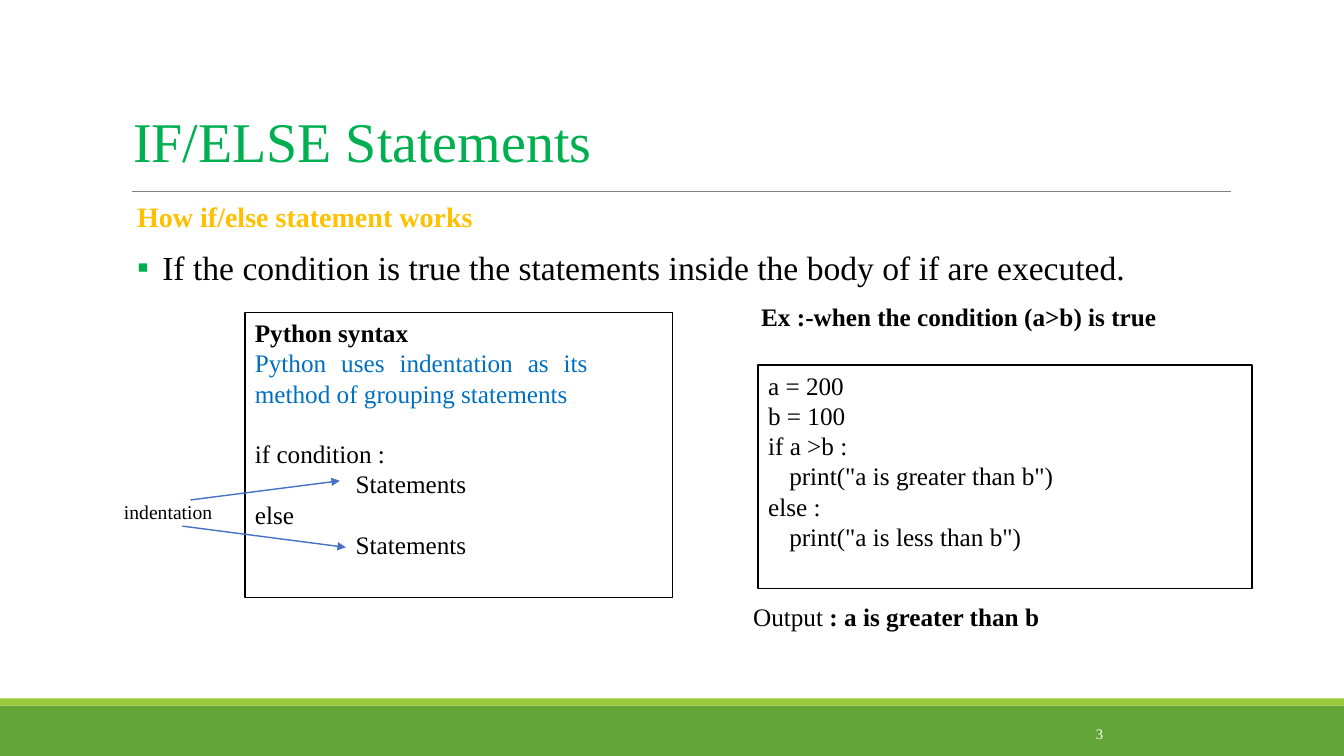
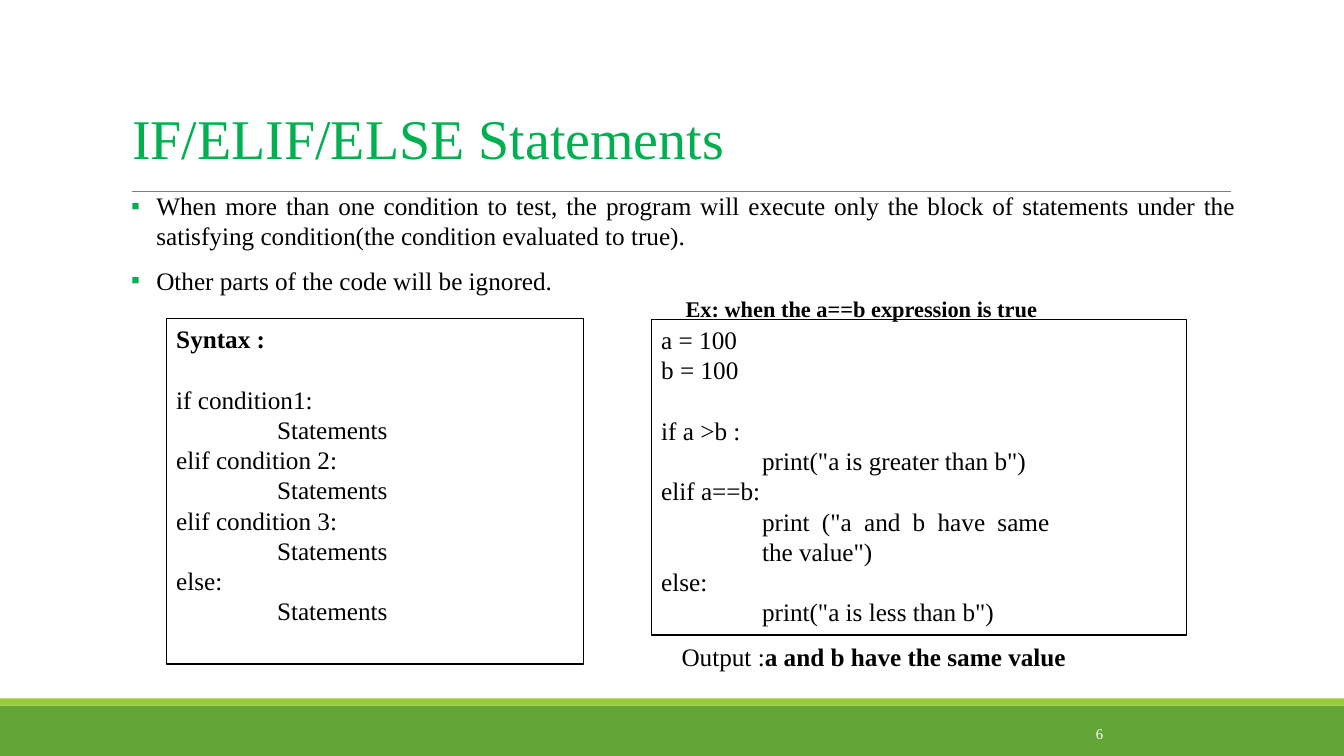
from dataclasses import dataclass

from lxml.etree import SubElement
from pptx import Presentation
from pptx.dml.color import RGBColor
from pptx.enum.shapes import MSO_CONNECTOR as Connector, MSO_SHAPE as Preset
from pptx.enum.text import MSO_ANCHOR as Anchor, MSO_AUTO_SIZE as AutoSize, PP_ALIGN as Align
from pptx.oxml.ns import qn
from pptx.util import Inches, Pt

FONT = "Times New Roman"
GREEN = RGBColor(0x00, 0xB0, 0x50)
BAND_GREEN = RGBColor(0x63, 0xA5, 0x37)
STRIP_GREEN = RGBColor(0x99, 0xCB, 0x38)
GRAY = RGBColor(0x80, 0x80, 0x80)
AMBER = RGBColor(0xFF, 0xC0, 0x00)
BLUE = RGBColor(0x00, 0x6F, 0xC0)
ARROW_BLUE = RGBColor(0x44, 0x71, 0xC4)
BLACK = RGBColor(0x00, 0x00, 0x00)
WHITE = RGBColor(0xFF, 0xFF, 0xFF)

SLIDE_WIDTH, SLIDE_HEIGHT = 13.33, 7.5
LEADING = 1.2
BLANK_LINE = 18 * LEADING  # gap between groups of code lines, in points


@dataclass(frozen=True)
class Area:
    left: float
    top: float
    width: float
    height: float

    def lengths(self) -> tuple:
        return tuple(Inches(n) for n in (self.left, self.top, self.width, self.height))


@dataclass(frozen=True)
class Line:
    """One paragraph: plain text, then an optional bold ending."""
    text: str
    bold_text: str = ""
    size: float = 18
    color: RGBColor = BLACK
    indent: float = 0
    before: float = 0
    bullet: bool = False
    justified: bool = False


@dataclass(frozen=True)
class CodeBox:
    area: Area
    lines: tuple
    right_inset: float = 0.1


@dataclass(frozen=True)
class Note:
    left: float
    top: float
    line: Line
    width: float = 4.5


@dataclass(frozen=True)
class Arrow:
    start: tuple
    end: tuple


@dataclass(frozen=True)
class Page:
    number: int
    title: str
    title_area: Area
    body_area: Area
    body_inset: float
    body: tuple
    boxes: tuple
    notes: tuple
    arrows: tuple = ()


def write_text(frame, lines, *, left=0.0, top=0.0, right=0.0, anchor=Anchor.TOP) -> None:
    """Fill a text frame with formatted lines."""
    frame.word_wrap = True
    frame.auto_size = AutoSize.NONE
    frame.vertical_anchor = anchor
    frame.margin_left, frame.margin_top = Inches(left), Inches(top)
    frame.margin_right, frame.margin_bottom = Inches(right), 0
    for index, line in enumerate(lines):
        para = frame.paragraphs[0] if index == 0 else frame.add_paragraph()
        set_bullet(para, line)
        para.alignment = Align.JUSTIFY if line.justified else Align.LEFT
        para.line_spacing = Pt(line.size * LEADING)
        para.space_before, para.space_after = Pt(line.before), Pt(0)
        for text, bold in ((line.text, False), (line.bold_text, True)):
            if text:
                span = para.add_run()
                span.text = text
                span.font.name, span.font.size = FONT, Pt(line.size)
                span.font.bold, span.font.color.rgb = bold, line.color


def set_bullet(para, line: Line) -> None:
    """Set the indent, and a green square or no bullet."""
    properties = para._p.get_or_add_pPr()
    hanging = 0.25 if line.bullet else 0
    properties.set("marL", str(Inches(line.indent + hanging)))
    properties.set("indent", str(-Inches(hanging)))
    if line.bullet:
        color = SubElement(properties, qn("a:buClr"))
        SubElement(color, qn("a:srgbClr"), val=str(GREEN))
        SubElement(properties, qn("a:buFont"), typeface=FONT)
        SubElement(properties, qn("a:buChar"), char="▪")
    else:
        SubElement(properties, qn("a:buNone"))


def place(shape, area: Area) -> None:
    shape.left, shape.top, shape.width, shape.height = area.lengths()


def add_rectangle(slide, area: Area, fill=None, outline=None):
    box = slide.shapes.add_shape(Preset.RECTANGLE, *area.lengths())
    box.shadow.inherit = False
    if fill is None:
        box.fill.background()
    else:
        box.fill.solid()
        box.fill.fore_color.rgb = fill
    if outline is None:
        box.line.fill.background()
    else:
        box.line.color.rgb, box.line.width = outline, Pt(1)
    return box


def add_line(slide, start: tuple, end: tuple, *, color: RGBColor, width: float, arrow=False) -> None:
    line = slide.shapes.add_connector(Connector.STRAIGHT, *(Inches(n) for n in start + end))
    line.line.color.rgb, line.line.width = color, Pt(width)
    if arrow:
        SubElement(line.line._get_or_add_ln(), qn("a:tailEnd"), type="triangle")
    SubElement(line.element.spPr, qn("a:effectLst"))


def add_note(slide, note: Note) -> None:
    area = Area(note.left, note.top, note.width, round(note.line.size * LEADING / 72, 2))
    box = slide.shapes.add_textbox(*area.lengths())
    write_text(box.text_frame, [note.line])


def add_frame(slide, number: int) -> None:
    """Bands, title rule and slide number shared by all slides."""
    add_rectangle(slide, Area(0, 7, SLIDE_WIDTH, 0.5), fill=BAND_GREEN)
    add_rectangle(slide, Area(0, 6.93, SLIDE_WIDTH, 0.07), fill=STRIP_GREEN)
    add_line(slide, (1.31, 1.9), (12.21, 1.9), color=GRAY, width=0.5)
    add_note(slide, Note(10.87, 7.19, Line(str(number), size=10.5, color=WHITE), width=1.4))


def add_page(deck, page: Page) -> None:
    slide = deck.slides.add_slide(deck.slide_layouts[1])
    add_frame(slide, page.number)

    # Title and body
    title, body = slide.shapes.title, slide.placeholders[1]
    place(title, page.title_area)
    write_text(title.text_frame, [Line(page.title, size=40, color=GREEN)], anchor=Anchor.BOTTOM)
    place(body, page.body_area)
    write_text(body.text_frame, page.body, top=page.body_inset)

    # Code boxes, notes and arrows
    for code in page.boxes:
        box = add_rectangle(slide, code.area, outline=BLACK)
        write_text(box.text_frame, code.lines, left=0.1, top=0.05, right=code.right_inset)
    for note in page.notes:
        add_note(slide, note)
    for arrow in page.arrows:
        add_line(slide, arrow.start, arrow.end, color=ARROW_BLUE, width=1, arrow=True)


STATEMENTS = Line("Statements", indent=1)

PAGES = (
    Page(
        number=3,
        title="IF/ELSE Statements",
        title_area=Area(1.32, 1.03, 10.8, 0.69),
        body_area=Area(1.36, 1.85, 10.8, 1.01),
        body_inset=0.13,
        body=(
            Line("", "How if/else statement works", size=20, color=AMBER),
            Line("If the condition is true the statements inside the body of if are executed.",
                 size=24, before=9.9, bullet=True),
        ),
        boxes=(
            CodeBox(Area(2.43, 3.1, 4.24, 2.83), (
                Line("", "Python syntax"),
                Line("Python uses indentation as its method of grouping statements",
                     color=BLUE, justified=True),
                Line("if condition :", before=BLANK_LINE),
                STATEMENTS,
                Line("else"),
                STATEMENTS,
            ), right_inset=0.84),
            CodeBox(Area(7.52, 3.62, 4.9, 2.22), (
                Line("a = 200"),
                Line("b = 100"),
                Line("if a >b :"),
                Line('print("a is greater than b")', indent=0.21),
                Line("else :"),
                Line('print("a is less than b")', indent=0.21),
            )),
        ),
        notes=(
            Note(7.55, 2.99, Line("", "Ex :-when the condition (a>b) is true")),
            Note(7.47, 5.97, Line("Output ", ": a is greater than b")),
            Note(1.23, 4.96, Line("indentation", size=14), width=1),
        ),
        arrows=(
            Arrow((1.89, 4.96), (3.37, 4.77)),
            Arrow((1.81, 5.22), (3.43, 5.43)),
        ),
    ),
    Page(
        number=6,
        title="IF/ELIF/ELSE Statements",
        title_area=Area(1.31, 1, 10.8, 0.69),
        body_area=Area(1.3, 1.88, 10.96, 1.05),
        body_inset=0.01,
        body=(
            Line("When more than one condition to test, the program will execute only the block "
                 "of statements under the satisfying condition(the condition evaluated to true).",
                 bullet=True, justified=True),
            Line("Other parts of the code will be ignored.", before=9.9, bullet=True),
        ),
        boxes=(
            CodeBox(Area(1.65, 3.16, 4.14, 3.43), (
                Line("", "Syntax :"),
                Line("if condition1:", before=BLANK_LINE),
                STATEMENTS,
                Line("elif condition 2:"),
                STATEMENTS,
                Line("elif condition 3:"),
                STATEMENTS,
                Line("else:"),
                STATEMENTS,
            )),
            CodeBox(Area(6.46, 3.17, 5.31, 3.13), (
                Line("a = 100"),
                Line("b = 100"),
                Line("if a >b :", before=BLANK_LINE),
                Line('print("a is greater than b")', indent=1),
                Line("elif a==b:"),
                Line('print ("a and b have same the value")', indent=1, justified=True),
                Line("else:"),
                Line('print("a is less than b")', indent=1),
            ), right_inset=1.36),
        ),
        notes=(
            Note(6.8, 2.93, Line("", "Ex: when the a==b expression is true", size=16)),
            Note(6.76, 6.36, Line("Output :", "a and b have the same value")),
        ),
    ),
)


def main() -> None:
    deck = Presentation()
    deck.slide_width, deck.slide_height = Inches(SLIDE_WIDTH), Inches(SLIDE_HEIGHT)
    for page in PAGES:
        add_page(deck, page)
    deck.save("out.pptx")


if __name__ == "__main__":
    main()
